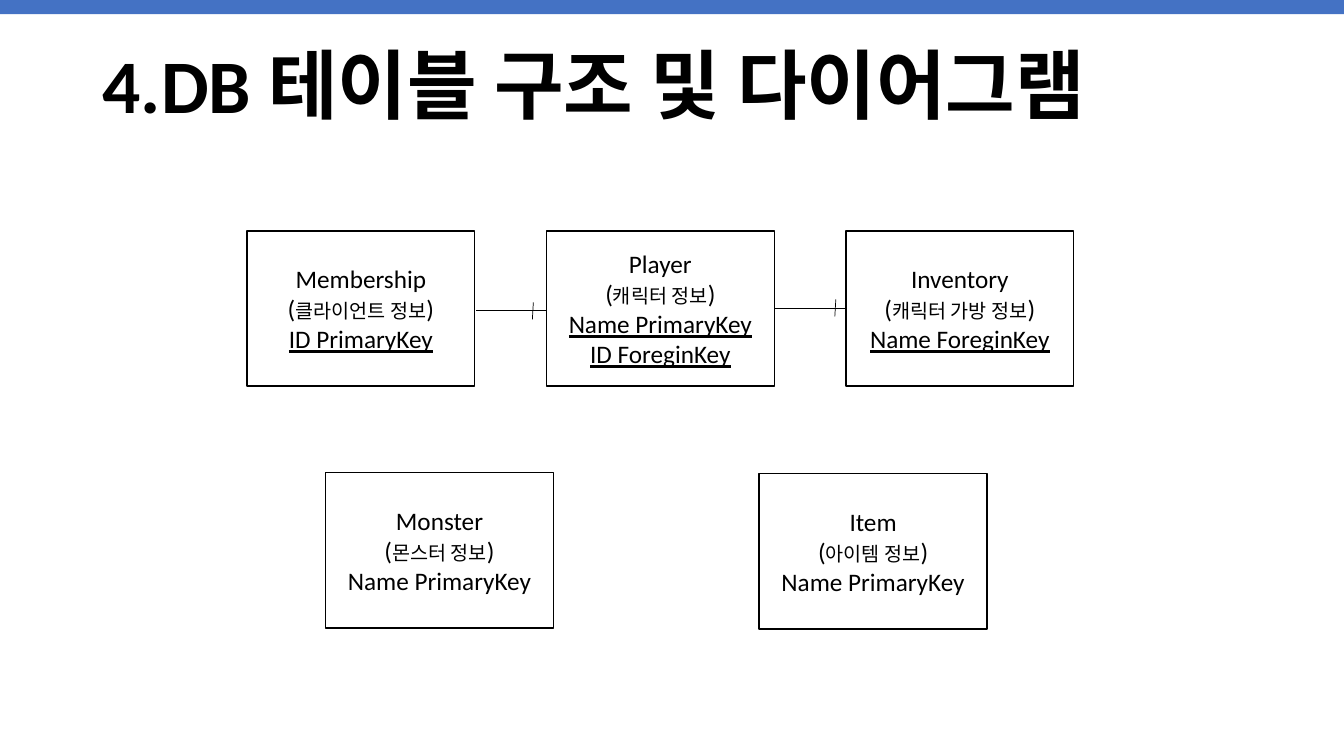
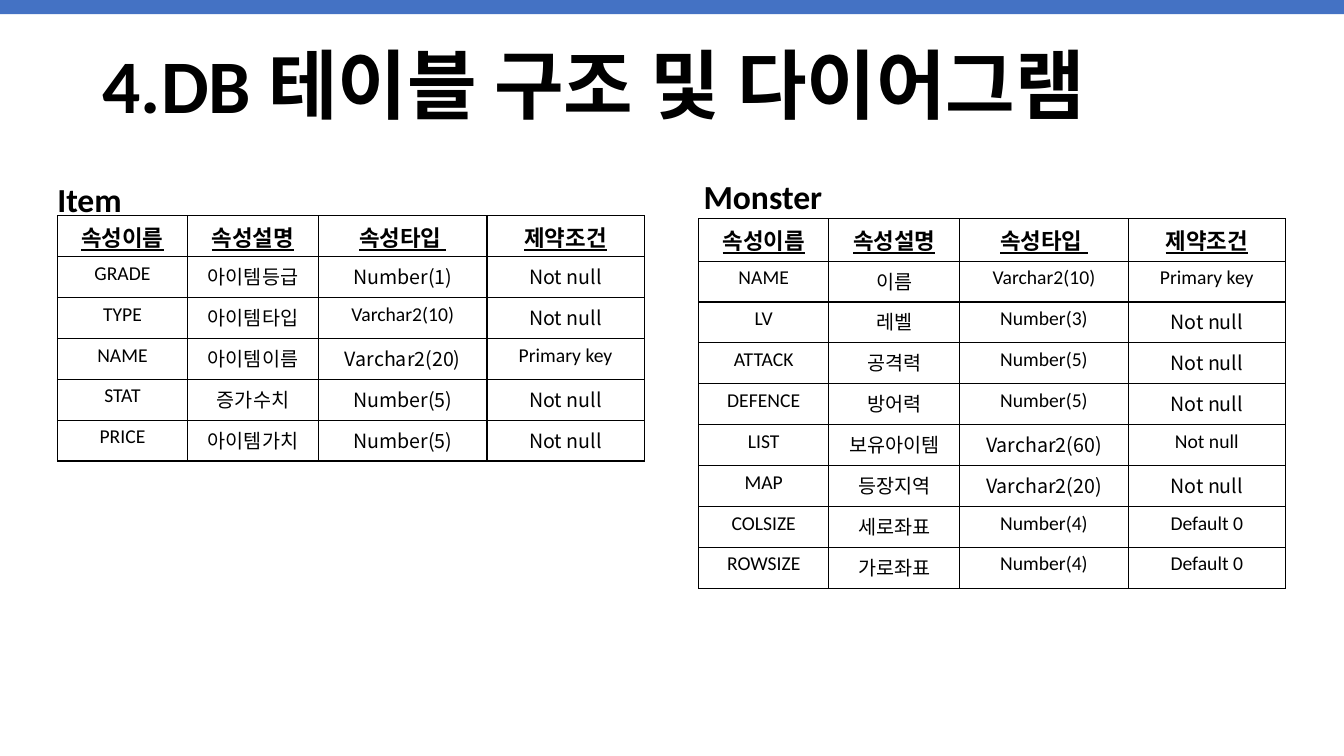
import pptx
import pptx.util
import pptx.dml.color
import pptx.enum.shapes
import pptx.enum.text
import pptx.oxml
import pptx.oxml.ns

Inches, Pt = pptx.util.Inches, pptx.util.Pt
KINDS = pptx.enum.shapes.MSO_SHAPE
ALIGN = pptx.enum.text.PP_ALIGN
ANCHOR = pptx.enum.text.MSO_ANCHOR
BLACK, WHITE, BLUE = "000000", "FFFFFF", "4472C4"
LATIN, HANGUL = "Calibri", "Noto Sans CJK KR"
TITLE = "4.DB 테이블 구조 및 다이어그램"


def color(hex):
    return pptx.dml.color.RGBColor.from_string(hex)


def write(par, text, size=18, font=LATIN, bold=False, line=False, align=ALIGN.CENTER):
    """Add a run to the paragraph; line underlines it."""
    par.alignment = align
    run = par.add_run()
    run.text = text
    run.font.size = Pt(size)
    run.font.name = font
    run.font.bold = bold
    run.font.underline = line
    run.font.color.rgb = color(BLACK)


deck = pptx.Presentation()
deck.slide_width, deck.slide_height = Inches(13.33), Inches(7.5)

# Title and top band on both slides
for _ in range(2):
    slide = deck.slides.add_slide(deck.slide_layouts[6])
    title = slide.shapes.add_shape(
        KINDS.RECTANGLE, Inches(0.92), Inches(0.32), Inches(11.5), Inches(1.02))
    band = slide.shapes.add_shape(KINDS.RECTANGLE, 0, 0, deck.slide_width, Inches(0.14))
    for shape, fill in ((title, WHITE), (band, BLUE)):
        shape.shadow.inherit = False
        shape.fill.solid()
        shape.fill.fore_color.rgb = color(fill)
        shape.line.fill.background()
    title.text_frame.word_wrap = True
    title.text_frame.vertical_anchor = ANCHOR.BOTTOM
    par = title.text_frame.paragraphs[0]
    par.line_spacing = 0.9
    par.space_after = Pt(6)
    write(par, TITLE, size=54, bold=True, align=ALIGN.LEFT)

# Slide 1: entity boxes
chart, lists = deck.slides
boxes = [
    (2.45, 2.29, "Membership", "클라이언트 정보", ["ID PrimaryKey"], True),
    (5.42, 2.29, "Player", "캐릭터 정보", ["Name PrimaryKey", "ID ForeginKey"], True),
    (8.39, 2.29, "Inventory", "캐릭터 가방 정보", ["Name ForeginKey"], True),
    (3.23, 4.69, "Monster", "몬스터 정보", ["Name PrimaryKey"], False),
    (7.53, 4.7, "Item", "아이템 정보", ["Name PrimaryKey"], False),
]
for left, top, name, info, keys, line in boxes:
    box = chart.shapes.add_shape(
        KINDS.RECTANGLE, Inches(left), Inches(top), Inches(2.26), Inches(1.54))
    box.shadow.inherit = False
    box.fill.solid()
    box.fill.fore_color.rgb = color(WHITE)
    box.line.color.rgb = color(BLACK)
    box.line.width = Pt(1)
    frame = box.text_frame
    frame.word_wrap = True
    frame.vertical_anchor = ANCHOR.MIDDLE
    write(frame.paragraphs[0], name)
    par = frame.add_paragraph()
    write(par, "(")
    write(par, info, size=14)
    write(par, ")")
    for key in keys:
        write(frame.add_paragraph(), key, line=line)

# Links between boxes, each with a tick near its right end
links = [
    (4.72, 3.08, 5.43, 3.08), (5.29, 3, 5.28, 3.17),
    (7.68, 3.06, 8.39, 3.06), (8.29, 2.97, 8.28, 3.14),
]
for ends in links:
    link = chart.shapes.add_connector(
        pptx.enum.shapes.MSO_CONNECTOR.STRAIGHT, *map(Inches, ends))
    link.line.color.rgb = color(BLACK)
    link.line.width = Pt(0.5)
    link._element.spPr.append(pptx.oxml.parse_xml(
        f"<a:effectLst {pptx.oxml.ns.nsdecls('a')}/>"))

# Slide 2: a leading * marks a cell set in the Hangul font
head = ["속성이름", "속성설명", "속성타입 ", "제약조건"]
monster = [
    ["NAME", "이름", "Varchar2(10)", "Primary key"],
    ["LV", "레벨", "Number(3)", "*Not null"],
    ["ATTACK", "공격력", "Number(5)", "*Not null"],
    ["DEFENCE", "방어력", "Number(5)", "*Not null"],
    ["LIST", "보유아이템", "*Varchar2(60)", "Not null"],
    ["MAP", "등장지역", "*Varchar2(20)", "*Not null"],
    ["COLSIZE", "세로좌표", "Number(4)", "Default 0"],
    ["ROWSIZE", "가로좌표", "Number(4)", "Default 0"],
]
item = [
    ["GRADE", "아이템등급", "*Number(1)", "*Not null"],
    ["TYPE", "아이템타입", "Varchar2(10)", "*Not null"],
    ["NAME", "아이템이름", "*Varchar2(20)", "Primary key"],
    ["STAT", "증가수치", "*Number(5)", "*Not null"],
    ["PRICE", "아이템가치", "*Number(5)", "*Not null"],
]
widths = [1.29, 1.3, 1.67, 1.56]
tables = [
    ("Monster", (6.88, 1.7, 1.7, 0.5), 6.93, 2.17, monster),
    ("Item", (0.47, 1.73, 3.69, 0.5), 0.57, 2.14, item),
]
for name, place, left, top, rows in tables:
    count = len(rows) + 1
    table = lists.shapes.add_table(
        count, len(head), Inches(left), Inches(top),
        Inches(sum(widths)), Inches(3.65 / 9 * count)).table
    for col, width in zip(table.columns, widths):
        col.width = Inches(width)
    for r, row in enumerate([head] + rows):
        for c, text in enumerate(row):
            cell = table.cell(r, c)
            props = cell._tc.get_or_add_tcPr()
            for side in "LRTB":
                props.append(pptx.oxml.parse_xml(
                    f"<a:ln{side} {pptx.oxml.ns.nsdecls('a')} w='12700'><a:solidFill>"
                    f"<a:srgbClr val='{BLACK}'/></a:solidFill></a:ln{side}>"))
            cell.fill.solid()
            cell.fill.fore_color.rgb = color(WHITE)
            write(cell.text_frame.paragraphs[0], text.lstrip("*"),
                  size=14 if r else 16, bold=r == 0, line=r == 0,
                  font=HANGUL if text.startswith("*") else LATIN)
    label = lists.shapes.add_textbox(*map(Inches, place)).text_frame
    label.word_wrap = True
    write(label.paragraphs[0], name, size=24, bold=True, align=ALIGN.LEFT)

deck.save("out.pptx")
